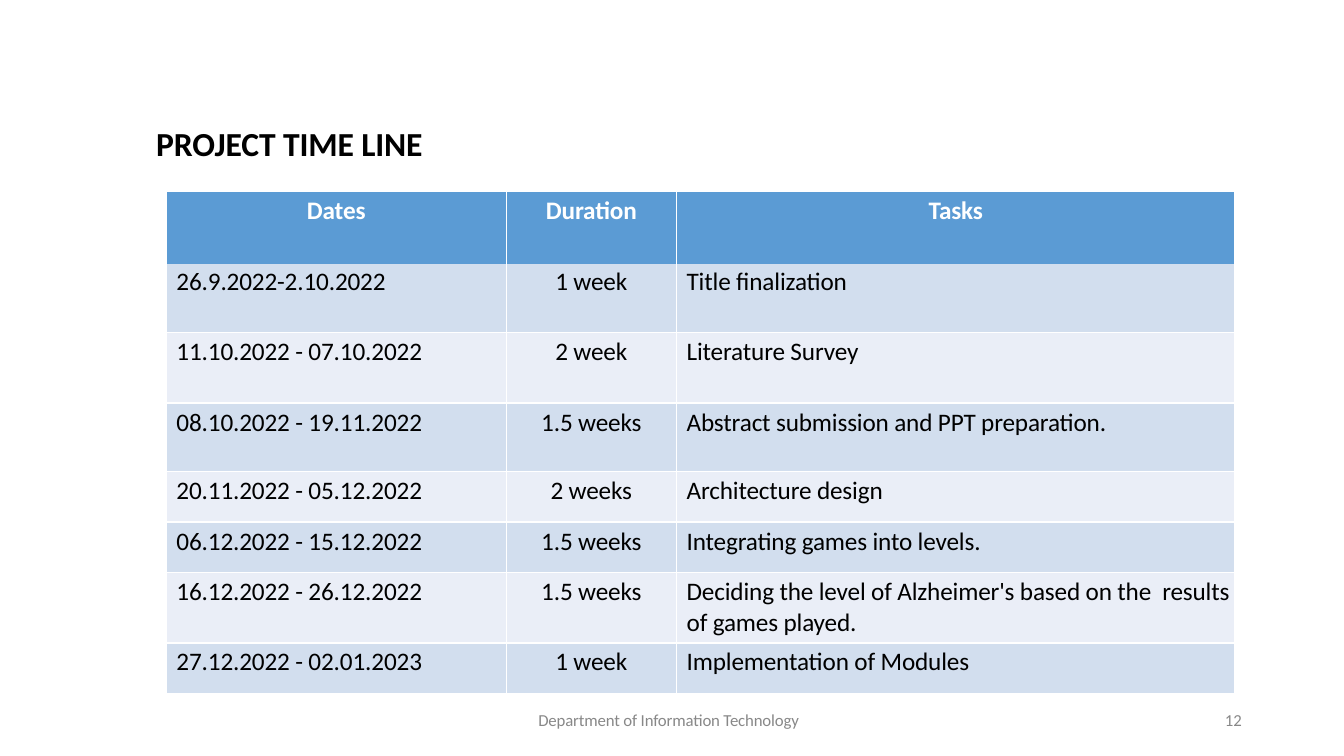
from dataclasses import dataclass
from lxml.etree import SubElement
from pptx import Presentation
from pptx.dml.color import RGBColor as RGB
from pptx.enum.text import MSO_ANCHOR as Anchor, MSO_AUTO_SIZE as Fit, PP_ALIGN as Align
from pptx.oxml.ns import qn
from pptx.util import Inches, Pt


@dataclass(frozen=True)
class Theme:
    font: str = "Calibri"
    ink: str = "000000"
    white: str = "FFFFFF"
    grey: str = "888888"
    head: str = "5B9BD4"
    bands: tuple = ("D2DEEE", "EAEEF7")
    big: int = 24
    mid: int = 18
    small: int = 12


look = Theme()
deck = Presentation()
deck.slide_width, deck.slide_height = Inches(13.33), Inches(7.5)
# Lengths below are percentages of the slide's width and height.
wide, high = deck.slide_width / 100, deck.slide_height / 100


def area(left, top, width, height):
    """Turn percentages of the slide into left, top, width, height."""
    return int(left * wide), int(top * high), int(width * wide), int(height * high)


def write(frame, text, size, color, bold=False, align=Align.LEFT, before=0, line=None,
          inset=(0, 0), track=-10):
    """Put one formatted paragraph into a text frame."""
    frame.margin_left, frame.margin_top = Inches(inset[0]), Inches(inset[1])
    frame.margin_right = frame.margin_bottom = 0
    frame.vertical_anchor = Anchor.TOP
    para = frame.paragraphs[0]
    para.alignment, para.space_before = align, Pt(before)
    if line:
        para.line_spacing = Pt(line)
    run = para.add_run()
    run.text = text
    font = run.font
    font.name, font.size, font.bold = look.font, Pt(size), bold
    font.color.rgb = RGB.from_string(color)
    font._element.set("spc", str(track))


slide = deck.slides.add_slide(deck.slide_layouts[5])
title = slide.shapes.title
title.left, title.top, title.width, title.height = area(11.55, 16.13, 20.18, 5.73)
title.text_frame.word_wrap = False
title.text_frame.auto_size = Fit.NONE
write(title.text_frame, "PROJECT TIME LINE", look.big, look.ink, bold=True,
      before=1, inset=(0.01, 0.01))

plan = [
    ("Dates", "Duration", "Tasks"),
    ("26.9.2022-2.10.2022", "1 week", "Title finalization"),
    ("11.10.2022 - 07.10.2022", "2 week", "Literature Survey"),
    ("08.10.2022 - 19.11.2022", "1.5 weeks", "Abstract submission and PPT preparation."),
    ("20.11.2022 - 05.12.2022", "2 weeks", "Architecture design"),
    ("06.12.2022 - 15.12.2022", "1.5 weeks", "Integrating games into levels."),
    ("16.12.2022 - 26.12.2022", "1.5 weeks",
     "Deciding the level of Alzheimer's based on the  results of games played."),
    ("27.12.2022 - 02.01.2023", "1 week", "Implementation of Modules"),
]
cols = (25.28, 12.68, 41.55)
rows = (9.6, 9.07, 9.33, 9.07, 6.67, 6.67, 9.33, 6.67)

grid = slide.shapes.add_table(len(rows), len(cols),
                              *area(12.38, 25.33, sum(cols), sum(rows))).table
grid.first_row = grid.horz_banding = False
for col, share in zip(grid.columns, cols):
    col.width = int(share * wide)
for row, share in zip(grid.rows, rows):
    row.height = int(share * high)

for r, items in enumerate(plan):
    top = r == 0
    # The first task row sits closer to its upper edge.
    inset, before = (0.02, 1.1) if r == 1 else (0.04, 2.6)
    for c, text in enumerate(items):
        cell = grid.cell(r, c)
        mid = top or c == 1
        write(cell.text_frame, text, look.mid, look.white if top else look.ink,
              bold=top, align=Align.CENTER if mid else Align.LEFT, before=before)
        cell.margin_left, cell.margin_top = Inches(0 if mid else 0.1), Inches(inset)
        cell.margin_right = cell.margin_bottom = 0
        cell.vertical_anchor = Anchor.TOP
        props = cell._tc.get_or_add_tcPr()
        for side in ("lnL", "lnR", "lnT", "lnB"):
            edge = SubElement(props, qn("a:" + side), w=str(Pt(1)))
            if (r, side) in ((0, "lnB"), (1, "lnT")):
                SubElement(edge, qn("a:noFill"))
            else:
                paint = SubElement(edge, qn("a:solidFill"))
                SubElement(paint, qn("a:srgbClr"), val=look.white)
        cell.fill.solid()
        cell.fill.fore_color.rgb = RGB.from_string(
            look.head if top else look.bands[(r - 1) % 2])

for text, left, width, pad, track in (
        ("Department of Information Technology", 39.98, 20, 0.01, -10),
        ("12", 90.83, 1.88, 0.04, 0)):
    foot = slide.shapes.add_textbox(*area(left, 94.27, width, 2.53)).text_frame
    foot.word_wrap = True
    write(foot, text, look.small, look.grey, line=12.4, inset=(pad, 0), track=track)

deck.save("out.pptx")
